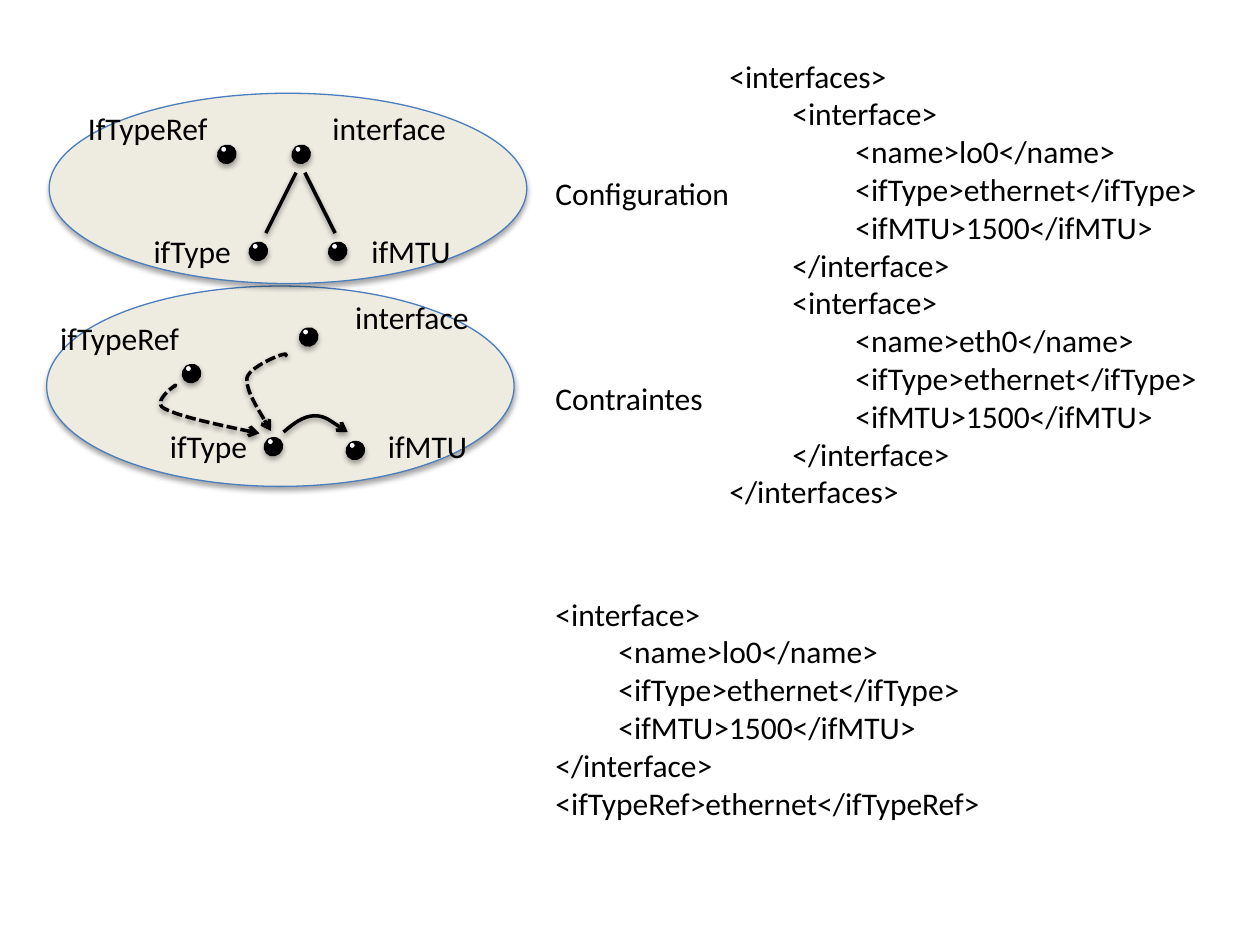
import pptx
import pptx.util
import pptx.dml.color
import pptx.enum.dml
import pptx.enum.shapes
import pptx.enum.text
import pptx.oxml
import pptx.oxml.ns

deck = pptx.Presentation()
deck.slide_width = pptx.util.Inches(10)
deck.slide_height = pptx.util.Inches(7.5)
slide = deck.slides.add_slide(deck.slide_layouts[6])

# The slide is a grid of 100 columns by 75 rows
CELL = deck.slide_width / 100
BLACK, WHITE, CREAM, BLUE = "000000", "FFFFFF", "EEECE1", "4B7EBC"
OVAL = pptx.enum.shapes.MSO_SHAPE.OVAL
QN = pptx.oxml.ns.qn
LABEL_FORMAT = {"size": pptx.util.Pt(18), "name": "Calibri"}


def cells(*values):
    return [round(value * CELL) for value in values]


def color(hex_code):
    return pptx.dml.color.RGBColor.from_string(hex_code)


def add_shadow(part, alpha, distance):
    part._element.spPr.append(pptx.oxml.parse_xml(
        f'<a:effectLst {pptx.oxml.ns.nsdecls("a")}>'
        f'<a:outerShdw blurRad="39370" dist="{pptx.util.Pt(distance)}" dir="5400000" rotWithShape="0">'
        f'<a:srgbClr val="000000"><a:alpha val="{alpha * 1000}"/></a:srgbClr>'
        '</a:outerShdw></a:effectLst>'))


def draw_line(part, hex_code, width):
    part.line.color.rgb = color(hex_code)
    part.line.width = pptx.util.Pt(width)


def add_oval(box, fill, outline, rotation=0):
    oval = slide.shapes.add_shape(OVAL, *cells(*box))
    oval.fill.solid()
    oval.fill.fore_color.rgb = color(fill)
    oval.rotation = rotation
    draw_line(oval, outline, 0.75)
    add_shadow(oval, 35, 1.8)


def add_text(box, lines, wrap=False):
    """Each line is a pair of indent depth and wording."""
    frame = slide.shapes.add_textbox(*cells(*box)).text_frame
    frame.word_wrap = wrap
    frame.auto_size = pptx.enum.text.MSO_AUTO_SIZE.SHAPE_TO_FIT_TEXT
    for index, (depth, wording) in enumerate(lines):
        paragraph = frame.add_paragraph() if index else frame.paragraphs[0]
        if depth:
            paragraph._p.get_or_add_pPr().set("marL", str(cells(5 * depth)[0]))
        run = paragraph.add_run()
        run.text = wording
        for key, value in LABEL_FORMAT.items():
            setattr(run.font, key, value)
        run.font.color.rgb = color(BLACK)


def add_node(left, top):
    add_oval((left, top, 1.4, 1.5), BLACK, BLACK, 48.4)
    add_oval((left + 0.2, top + 0.1, 0.5, 0.5), WHITE, BLACK, 48.4)


def add_branch(start, end):
    branch = slide.shapes.add_connector(
        pptx.enum.shapes.MSO_CONNECTOR.STRAIGHT, *cells(*start, *end))
    draw_line(branch, BLACK, 2)
    add_shadow(branch, 38, 1.6)


def add_curved_arrow(points, dashed):
    start, *rest = [cells(*point) for point in points]
    builder = slide.shapes.build_freeform(*start)
    builder.add_line_segments(rest, close=False)
    arrow = builder.convert_to_shape()
    # Every three straight segments become one Bezier curve
    segments = list(arrow._element.iter(QN("a:lnTo")))
    for first in range(0, len(segments), 3):
        curve = pptx.oxml.parse_xml(f'<a:cubicBezTo {pptx.oxml.ns.nsdecls("a")}/>')
        segments[first].addprevious(curve)
        for segment in segments[first:first + 3]:
            curve.append(segment[0])
            segment.getparent().remove(segment)
    arrow.fill.background()
    draw_line(arrow, BLACK, 2)
    if dashed:
        arrow.line.dash_style = pptx.enum.dml.MSO_LINE.SQUARE_DOT
    arrow.line._get_or_add_ln().append(pptx.oxml.parse_xml(
        f'<a:tailEnd {pptx.oxml.ns.nsdecls("a")} type="arrow"/>'))
    add_shadow(arrow, 38, 1.6)


def add_diagram(box, nodes, branches=(), arrows=()):
    """Nodes, branches and arrows are placed from the corner of the box."""
    def inside(point):
        return box[0] + point[0], box[1] + point[1]

    add_oval(box, CREAM, BLUE)
    for name, dot, label, width in nodes:
        add_node(*inside(dot))
        add_text((*inside(label), width, 4), [(0, name)])
    for start, end in branches:
        add_branch(inside(start), inside(end))
    for points, dashed in arrows:
        add_curved_arrow([inside(point) for point in points], dashed)


def interface_lines(name, depth):
    fields = [f"<name>{name}</name>", "<ifType>ethernet</ifType>", "<ifMTU>1500</ifMTU>"]
    return [(depth, "<interface>"), *((depth + 1, field) for field in fields),
            (depth, "</interface>")]


# Constraints diagram
add_diagram(
    (3.7, 22.7, 37.1, 15.9),
    nodes=[("ifTypeRef", (10.8, 6.2), (0.1, 2.1), 11.6),
           ("interface", (20.1, 3.3), (23.5, 0.5), 11.1),
           ("ifType", (17.3, 12), (8.8, 10.7), 8.2),
           ("ifMTU", (23.8, 12.3), (26.1, 10.7), 8.4)],
    arrows=[([(18.8, 11.6), (19.6, 10.9), (20.4, 10.3), (21.3, 10.3),
              (22.1, 10.3), (23.9, 11.6), (23.9, 11.6)], False),
            ([(18.9, 5.6), (19.7, 4.9), (16.1, 6.3), (15.9, 7.3),
              (15.8, 8.3), (17.8, 11.5), (17.8, 11.5)], True),
            ([(10.1, 8), (10.9, 7.4), (8.2, 9.1), (9.3, 9.7),
              (10.5, 10.4), (16.9, 11.7), (16.9, 11.7)], True)])

# Configuration diagram
add_diagram(
    (3.9, 7.4, 37.9, 15.1),
    nodes=[("IfTypeRef", (13.4, 4.1), (2.1, 0.8), 11.7),
           ("interface", (19.3, 4.1), (21.5, 0.8), 11.1),
           ("ifType", (15.9, 11.8), (7.3, 10.5), 8.2),
           ("ifMTU", (22.2, 11.8), (24.6, 10.5), 8.4)],
    branches=[((19.6, 6.3), (17.2, 11.1)), ((20.3, 6.3), (22.7, 11.1))])

# Diagram captions
add_text((43.1, 13.3, 15.9, 4), [(0, "Configuration")])
add_text((43.1, 29.6, 13.8, 4), [(0, "Contraintes")])

# XML listings
add_text((56.9, 4, 39.5, 37.4),
         [(0, "<interfaces>"), *interface_lines("lo0", 1),
          *interface_lines("eth0", 1), (0, "</interfaces>")])
add_text((43.1, 46.7, 40.4, 19.2),
         [*interface_lines("lo0", 0), (0, "<ifTypeRef>ethernet</ifTypeRef>")], wrap=True)

deck.save("out.pptx")
